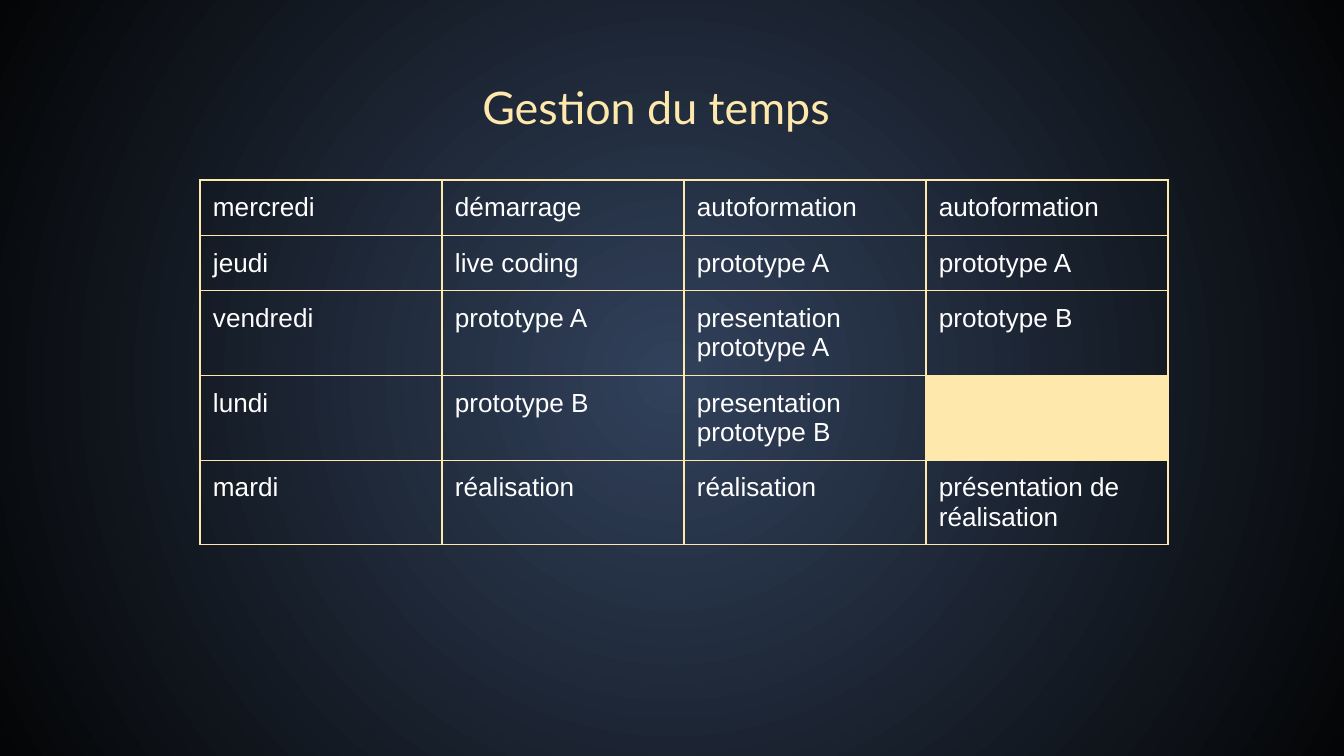
import lxml.etree
import pptx
import pptx.dml.color
import pptx.enum.text
import pptx.oxml.ns
import pptx.util

EMU_PER_PX = 9144000 / 1344
COLORS = {
    "center": "31415B",
    "edge": "040506",
    "cream": "FFE8AB",
    "text": "FFFFFF",
}
INSET = 13
COLUMN_WIDTH = 242
ROW_HEIGHTS = [51, 51, 79, 79, 79]
SCHEDULE = [
    ["mercredi", "démarrage", "autoformation", "autoformation"],
    ["jeudi", "live coding", "prototype A", "prototype A"],
    ["vendredi", "prototype A", "presentation prototype A", "prototype B"],
    ["lundi", "prototype B", "presentation prototype B", ""],
    ["mardi", "réalisation", "réalisation", "présentation de réalisation"],
]


def px(length):
    return pptx.util.Emu(round(length * EMU_PER_PX))


def rgb(name):
    return pptx.dml.color.RGBColor.from_string(COLORS[name])


def add_node(parent, tag, **attributes):
    return lxml.etree.SubElement(parent, pptx.oxml.ns.qn(tag), attributes)


def write_text(frame, text, *, font, size, color, align):
    para = frame.paragraphs[0]
    para.alignment = align
    span = para.add_run()
    span.text = text
    span.font.name = font
    span.font.size = pptx.util.Pt(size)
    span.font.color.rgb = rgb(color)


def set_insets(holder):
    holder.margin_left = holder.margin_right = px(INSET)
    holder.margin_top = holder.margin_bottom = px(INSET)


def paint_background(page):
    fill = page.background.fill
    fill.gradient()
    for stop, name in zip(fill.gradient_stops, ["center", "edge"]):
        stop.color.rgb = rgb(name)
    # Turn the linear gradient into a radial one
    gradient = page.element.xpath(".//p:bg//a:gradFill")[0]
    gradient.remove(gradient.find(pptx.oxml.ns.qn("a:lin")))
    circle = add_node(gradient, "a:path", path="circle")
    add_node(circle, "a:fillToRect", l="50000", t="50000", r="50000", b="50000")


def add_title(page, text):
    box = page.shapes.title
    box.left, box.top, box.width, box.height = map(px, [294, 31, 724, 151])
    frame = box.text_frame
    set_insets(frame)
    frame.word_wrap = True
    frame.auto_size = pptx.enum.text.MSO_AUTO_SIZE.NONE
    frame.vertical_anchor = pptx.enum.text.MSO_ANCHOR.MIDDLE
    write_text(frame, text, font="Lato", size=24, color="cream",
               align=pptx.enum.text.PP_ALIGN.CENTER)


def add_borders(cell):
    properties = cell._tc.get_or_add_tcPr()
    for index, side in enumerate("LRTB"):
        line = add_node(properties, f"a:ln{side}", w=str(pptx.util.Pt(0.75)))
        add_node(add_node(line, "a:solidFill"), "a:srgbClr", val=COLORS["cream"])
        # Borders must come before the cell's fill
        properties.insert(index, line)


def format_cell(cell, text):
    set_insets(cell)
    if text:
        cell.fill.background()
        write_text(cell.text_frame, text, font="Arial", size=14, color="text",
                   align=pptx.enum.text.PP_ALIGN.LEFT)
    else:
        cell.fill.solid()
        cell.fill.fore_color.rgb = rgb("cream")
    add_borders(cell)


def add_schedule(page, rows):
    columns = len(rows[0])
    box = page.shapes.add_table(len(rows), columns, px(200), px(180),
                                px(columns * COLUMN_WIDTH), px(sum(ROW_HEIGHTS)))
    table = box.table
    table.first_row = table.horz_banding = False
    for column in table.columns:
        column.width = px(COLUMN_WIDTH)
    for row, height, texts in zip(table.rows, ROW_HEIGHTS, rows):
        row.height = px(height)
        for cell, text in zip(row.cells, texts):
            format_cell(cell, text)


def main():
    deck = pptx.Presentation()
    deck.slide_width, deck.slide_height = px(1344), px(756)
    # "Title Only" layout
    page = deck.slides.add_slide(deck.slide_layouts[5])
    paint_background(page)
    add_title(page, "Gestion du temps")
    add_schedule(page, SCHEDULE)
    deck.save("out.pptx")


if __name__ == "__main__":
    main()
